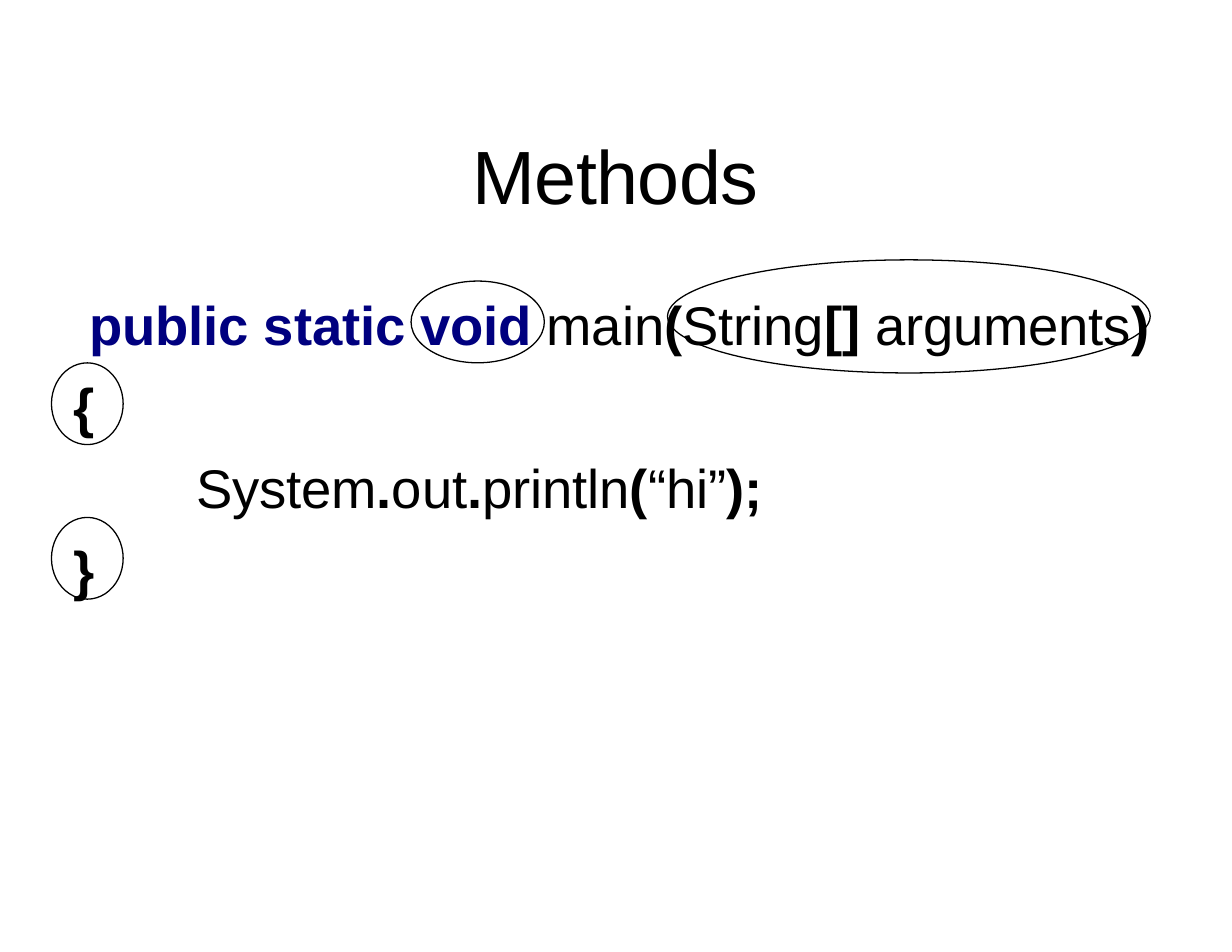
from pptx import Presentation
from pptx.dml.color import RGBColor
from pptx.enum.shapes import MSO_SHAPE as SHAPE
from pptx.enum.text import MSO_ANCHOR as ANCHOR, PP_ALIGN as ALIGN
from pptx.util import Inches, Pt

BLACK = RGBColor(0, 0, 0)
NAVY = RGBColor(0, 0, 0x7F)


def add_text(paragraph, text, size=35, color=BLACK, bold=False, spacing=-0.1):
    run = paragraph.add_run()
    run.text = text
    font = run.font
    font.name = "Arial"
    font.size = Pt(size)
    font.bold = bold
    font.color.rgb = color
    run._r.get_or_add_rPr().set("spc", str(round(spacing * 100)))


def add_frame(left, top, width, height, anchor):
    box = slide.shapes.add_textbox(Inches(left), Inches(top), Inches(width), Inches(height))
    frame = box.text_frame
    frame.word_wrap = True
    frame.vertical_anchor = anchor
    frame.margin_left = frame.margin_right = frame.margin_top = frame.margin_bottom = 0
    return frame


deck = Presentation()
deck.slide_width, deck.slide_height = Inches(11), Inches(8.5)
slide = deck.slides.add_slide(deck.slide_layouts[6])

title = add_frame(1.2, 1.12, 8.59, 0.84, ANCHOR.BOTTOM).paragraphs[0]
title.alignment = ALIGN.CENTER
add_text(title, "Methods", size=48.5, spacing=-0.3)

OPEN_BRACE = (0.46, 3.24, 0.64, 0.73)
CLOSE_BRACE = (0.46, 4.62, 0.64, 0.73)
PARAMETERS = (5.96, 2.32, 4.31, 1.01)
RETURN_TYPE = (3.67, 2.51, 1.19, 0.73)
for place in (OPEN_BRACE, CLOSE_BRACE, PARAMETERS, RETURN_TYPE):
    ring = slide.shapes.add_shape(SHAPE.OVAL, *map(Inches, place))
    ring.shadow.inherit = False
    ring.fill.background()
    ring.line.color.rgb = BLACK
    ring.line.width = Pt(0.82)

KEYWORD = {"color": NAVY, "bold": True}
SYMBOL = {"bold": True}
NAME = {}
code_lines = [
    (0.15, [("public static void ", KEYWORD), ("main", NAME), ("(", SYMBOL), ("String", NAME),
            ("[] ", SYMBOL), ("arguments", NAME), (")", SYMBOL)]),
    (0.01, [("{", SYMBOL)]),
    (1.1, [("System", NAME), (".", SYMBOL), ("out", NAME), (".", SYMBOL), ("println", NAME),
           ("(", SYMBOL), ("“hi”", NAME), (");", SYMBOL)]),
    (0.01, [("}", SYMBOL)]),
]
code = add_frame(0.65, 2.6, 9.71, 2.75, ANCHOR.TOP)
for number, (indent, tokens) in enumerate(code_lines):
    line = code.add_paragraph() if number else code.paragraphs[0]
    line.space_before = Pt(10.5 if number else 0)
    properties = line._p.get_or_add_pPr()
    properties.set("marL", str(Inches(indent)))
    properties.set("indent", "0")
    for text, style in tokens:
        add_text(line, text, **style)

deck.save("out.pptx")
